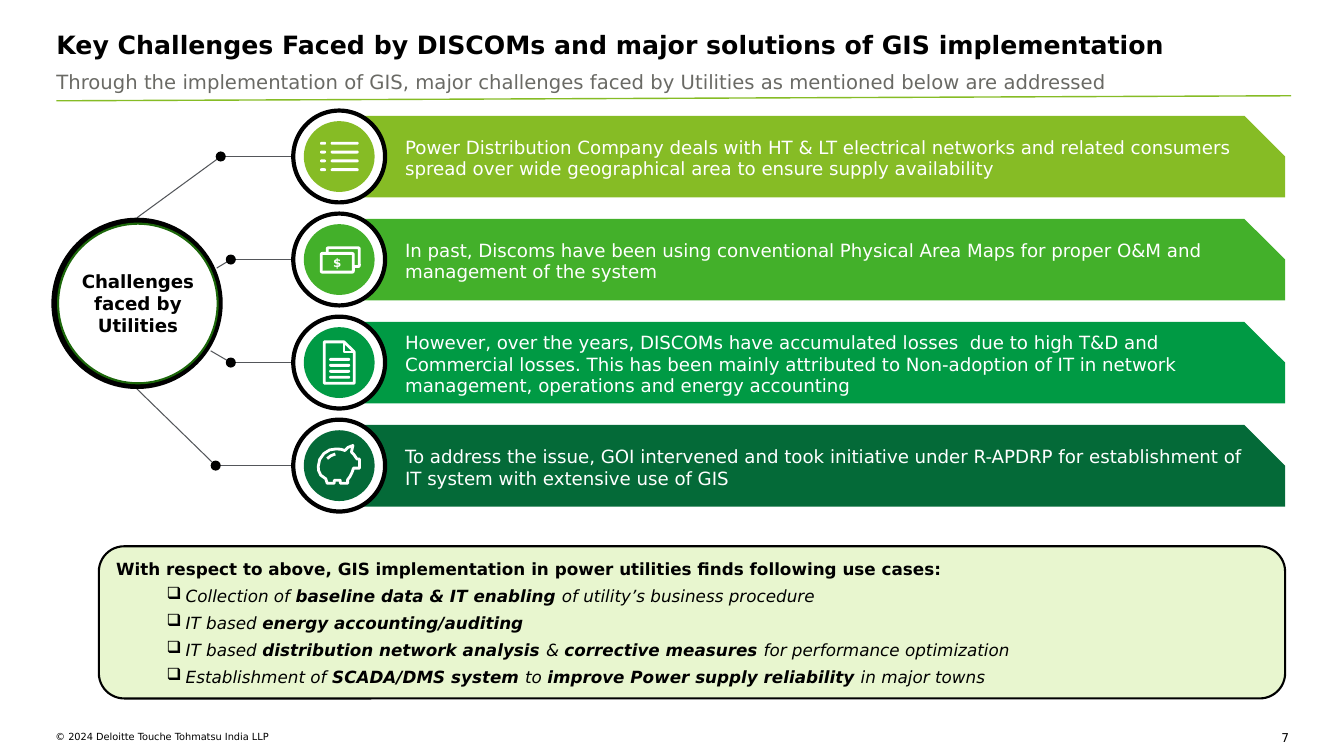
import pptx
import pptx.util
import pptx.dml.color
import pptx.enum.shapes
import pptx.enum.text
import pptx.oxml.ns
import lxml.etree

Pt = pptx.util.Pt
SHAPE = pptx.enum.shapes.MSO_SHAPE
ALIGN = pptx.enum.text.PP_ALIGN
ANCHOR = pptx.enum.text.MSO_ANCHOR
FONT = "DejaVu Sans"


def paint(target, colour):
    target.fill.solid()
    target.fill.fore_color.rgb = pptx.dml.color.RGBColor.from_string(colour)


def add_shape(kind, left, top, width, height, fill, line=None, weight=1):
    shape = page.shapes.add_shape(kind, Pt(left), Pt(top), Pt(width), Pt(height))
    shape.shadow.inherit = False
    paint(shape, fill)
    if line:
        paint(shape.line, line)
        shape.line.width = Pt(weight)
    else:
        shape.line.fill.background()
    frame = shape.text_frame
    frame.word_wrap = True
    frame.vertical_anchor = ANCHOR.MIDDLE
    frame.margin_left = frame.margin_right = frame.margin_top = frame.margin_bottom = 0
    return shape


deck = pptx.Presentation()
deck.slide_width, deck.slide_height = Pt(960), Pt(540)
page = deck.slides.add_slide(deck.slide_layouts[6])

labels = [
    (40.3, 20.9, 888, 33, 18, "000000", True, ALIGN.LEFT,
     "Key Challenges Faced by DISCOMs and major solutions of GIS implementation"),
    (40.3, 49.7, 908, 20, 14, "6A6A65", False, ALIGN.LEFT,
     "Through the implementation of GIS, major challenges faced by Utilities as mentioned below are addressed"),
    (39.6, 522, 422, 16, 7, "000000", False, ALIGN.LEFT,
     "© 2024 Deloitte Touche Tohmatsu India LLP"),
    (896.4, 522, 24.5, 8, 8.7, "000000", False, ALIGN.RIGHT, "7"),
]
for left, top, width, height, size, colour, bold, align, text in labels:
    box = page.shapes.add_textbox(Pt(left), Pt(top), Pt(width), Pt(height))
    frame = box.text_frame
    frame.word_wrap = True
    frame.margin_left = frame.margin_right = frame.margin_top = frame.margin_bottom = 0
    para = frame.paragraphs[0]
    para.text = text
    para.alignment = align
    font = para.runs[0].font
    font.name, font.size, font.bold = FONT, Pt(size), bold
    paint(font, colour)

centre_x = 242.3
row_y = [111.8 + 73.6 * row for row in range(4)]
challenges = [
    ("86BC25", 157.7, (97.9, 155.5),
     "Power Distribution Company deals with HT & LT electrical networks and related consumers spread over wide geographical area to ensure supply availability"),
    ("43B02A", 164.9, (154.8, 191.5),
     "In past, Discoms have been using conventional Physical Area Maps for proper O&M and management of the system"),
    ("009A44", 164.9, (150.5, 250.6),
     "However, over the years, DISCOMs have accumulated losses  due to high T&D and Commercial losses. This has been mainly attributed to Non-adoption of IT in network management, operations and energy accounting"),
    ("046A38", 154.1, (97.9, 277.9),
     "To address the issue, GOI intervened and took initiative under R-APDRP for establishment of IT system with extensive use of GIS"),
]

lines = [(40.3, 72, 922.3, 68.4, "86BC25", 1)]
for y, (colour, dot_x, start, text) in zip(row_y, challenges):
    lines.append((*start, dot_x, y, "53565A", 0.75))
    lines.append((dot_x, y, 209.5, y, "53565A", 0.75))
for x1, y1, x2, y2, colour, weight in lines:
    line = page.shapes.add_connector(
        pptx.enum.shapes.MSO_CONNECTOR.STRAIGHT, Pt(x1), Pt(y1), Pt(x2), Pt(y2))
    paint(line.line, colour)
    line.line.width = Pt(weight)
    lxml.etree.SubElement(line._element.spPr, pptx.oxml.ns.qn("a:effectLst"))

for y, (colour, dot_x, start, text) in zip(row_y, challenges):
    bar = add_shape(SHAPE.SNIP_1_RECTANGLE, 239, y - 29.1, 679, 58.3, colour)
    bar.adjustments[0] = 0.5
    frame = bar.text_frame
    frame.margin_left, frame.margin_right, frame.margin_bottom = Pt(50.4), Pt(8.6), Pt(13)
    para = frame.paragraphs[0]
    para.text = text
    para.alignment = ALIGN.LEFT
    font = para.runs[0].font
    font.name, font.size = FONT, Pt(13)
    paint(font, "FFFFFF")
    add_shape(SHAPE.OVAL, dot_x - 3.6, y - 3.6, 7.2, 7.2, "000000")
    add_shape(SHAPE.OVAL, centre_x - 32.8, y - 32.8, 65.6, 65.6, "FFFFFF", "000000", 3)
    add_shape(SHAPE.OVAL, centre_x - 25.3, y - 25.3, 50.6, 50.6, colour)

add_shape(SHAPE.OVAL, 36.7, 155.5, 122.4, 122.4, "000000")
hub = add_shape(SHAPE.OVAL, 41.5, 159.8, 114, 114, "FFFFFF", "1C670A", 1.5)
para = hub.text_frame.paragraphs[0]
para.text = "Challenges faced by Utilities"
para.alignment = ALIGN.CENTER
font = para.runs[0].font
font.name, font.size, font.bold = FONT, Pt(13), True
paint(font, "000000")

list_y, money_y, document_y, pig_y = row_y
strokes = []
for step in range(4):
    strokes.append((-13.7, list_y - 9.5 + 6.3 * step, 4.3))
    strokes.append((-6.1, list_y - 9.5 + 6.3 * step, 20))
    strokes.append((-7.2, document_y - 2.3 + 4.25 * step, 15))
for offset, y, width in strokes:
    stroke = add_shape(SHAPE.ROUNDED_RECTANGLE, centre_x + offset, y - 1, width, 2.1, "FFFFFF")
    stroke.adjustments[0] = 0.5

for left, top in [(-8.6, -8.4), (-12.9, -4.4)]:
    note = add_shape(SHAPE.ROUNDED_RECTANGLE, centre_x + left, money_y + top,
                     23, 13.4, "43B02A", "FFFFFF", 2)
    note.adjustments[0] = 0.06
para = note.text_frame.paragraphs[0]
para.text = "$"
para.alignment = ALIGN.CENTER
font = para.runs[0].font
font.name, font.size, font.bold = FONT, Pt(8.5), True
paint(font, "FFFFFF")

outlines = [
    (document_y, True, [(-10.7, -14.8), (3.5, -14.8), (10.7, -7.6), (10.7, 14.8), (-10.7, 14.8)]),
    (document_y, False, [(3.5, -14.8), (3.5, -7.6), (10.7, -7.6)]),
    (pig_y, True, [
        (9.8, -14.4), (8.7, -9.7), (10.5, -7.9), (12.7, -4.7), (14.5, -4.7), (14.5, 1.8),
        (10.2, 1.8), (9.1, 5), (7.6, 7.9), (6, 10.1), (6, 12.6), (0.8, 12.6), (0.8, 10.4),
        (-3.5, 10.4), (-3.5, 12.6), (-8.6, 12.6), (-9.6, 9.4), (-13.2, 6.8), (-14.7, 3.6),
        (-15, 0.7), (-14, -4.3), (-11, -8.6), (-6.8, -11.2), (-2.4, -11.9), (1.2, -11.7),
        (4, -10.8), (6.2, -13)]),
    (pig_y, False, [(-8.6, -5), (-6, -7), (-2.8, -8.3)]),
]
for y, closed, offsets in outlines:
    points = [(Pt(centre_x + across), Pt(y + down)) for across, down in offsets]
    builder = page.shapes.build_freeform(*points[0])
    builder.add_line_segments(points[1:], close=closed)
    outline = builder.convert_to_shape()
    outline.shadow.inherit = False
    outline.fill.background()
    paint(outline.line, "FFFFFF")
    outline.line.width = Pt(2)

use_cases = [
    "*With respect to above, GIS implementation in power utilities finds following use cases:",
    "Collection of *baseline data & IT enabling *of utility’s business procedure",
    "IT based *energy accounting/auditing",
    "IT based *distribution network analysis *& *corrective measures *for performance optimization",
    "Establishment of *SCADA/DMS system *to *improve Power supply reliability *in major towns",
]
panel = add_shape(SHAPE.ROUNDED_RECTANGLE, 70.6, 390.2, 847.4, 108.7, "E8F6CF", "000000", 1.5)
frame = panel.text_frame
frame.margin_left = frame.margin_right = frame.margin_top = frame.margin_bottom = Pt(7.2)
for row, text in enumerate(use_cases):
    para = frame.add_paragraph() if row else frame.paragraphs[0]
    para.alignment = ALIGN.LEFT
    para.line_spacing = 1.06
    para.space_after = Pt(4)
    if row:
        para.level = 1
        properties = para._p.get_or_add_pPr()
        properties.set("marL", str(Pt(49.7)))
        properties.set("indent", str(Pt(-13.7)))
        lxml.etree.SubElement(properties, pptx.oxml.ns.qn("a:buChar"), char="❑")
    for part, words in enumerate(text.split("*")):
        if words:
            span = para.add_run()
            span.text = words
            font = span.font
            font.name, font.size = FONT, Pt(12)
            font.bold, font.italic = part % 2 == 1, row > 0
            paint(font, "000000")

deck.save("out.pptx")
